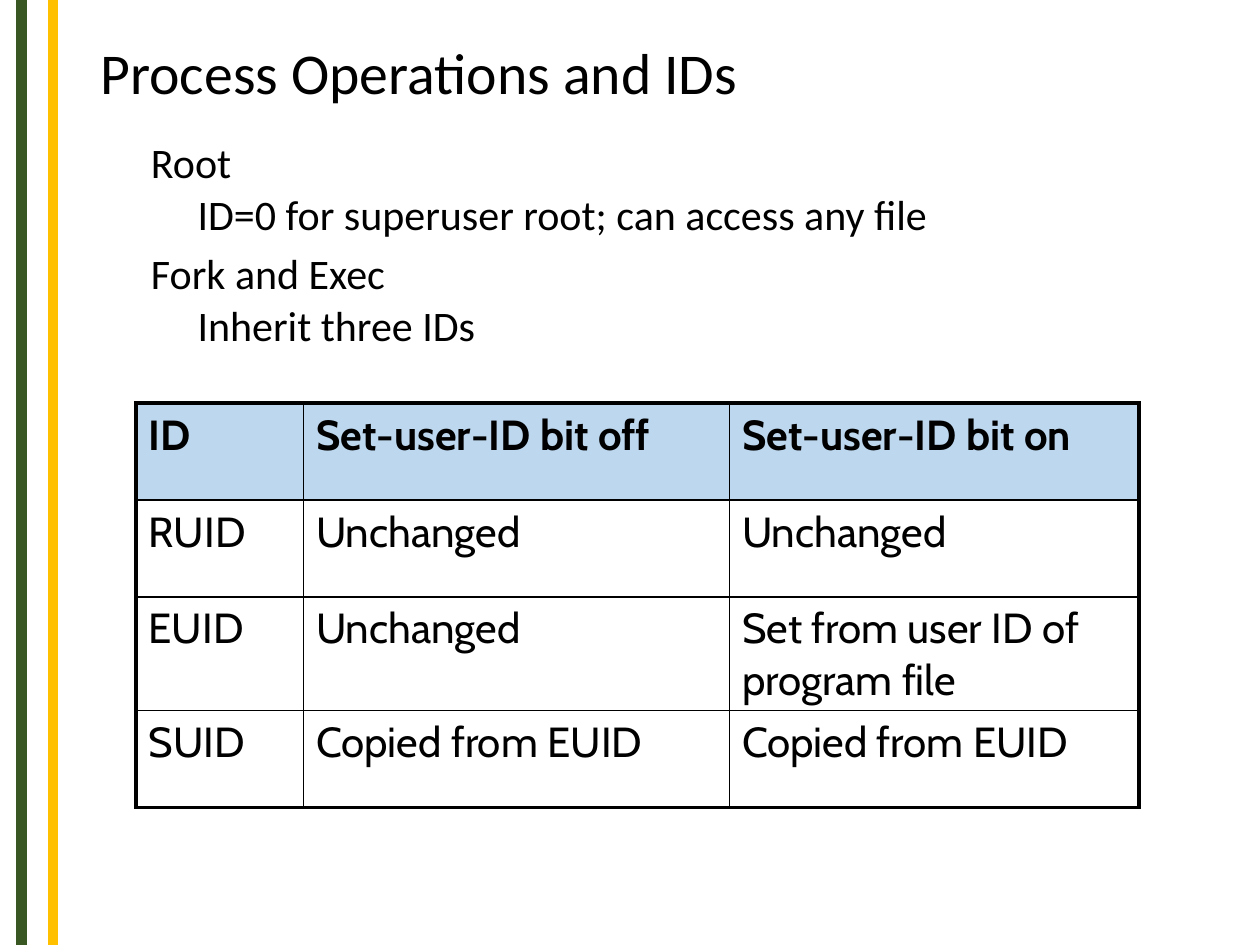
from pptx import Presentation
from pptx.dml.color import RGBColor as Rgb
from pptx.enum.shapes import MSO_CONNECTOR as Conn
from pptx.enum.text import MSO_ANCHOR as Anchor
from pptx.oxml.ns import qn
from pptx.util import Inches, Pt
from lxml.etree import SubElement as Sub, Element

INK = {"black": "000000", "green": "385723", "gold": "FFC000", "head": "BDD7EE"}
COLS, ROWS = 100, 75
THIN, THICK = 1, 2.25


def put(frame, items, font="Calibri", size=24, bold=False, color="black",
        gaps=(0,), lead=None, indent=0):
    """Write one paragraph per (level, text) item in a text frame."""
    frame.word_wrap = True
    for i, (level, text) in enumerate(items):
        para = frame.paragraphs[0] if i == 0 else frame.add_paragraph()
        para.level = level
        para.space_before = Pt(gaps[level])
        if lead:
            para.line_spacing = lead
        if level:
            props = para._p.get_or_add_pPr()
            props.set("marL", str(Inches(indent)))
            props.set("indent", "0")
        run = para.add_run()
        run.text = text
        run.font.name, run.font.size, run.font.bold = font, Pt(size), bold
        run.font.color.rgb = Rgb.from_string(INK[color])


def edge(cell, sides):
    """Draw the borders of a cell from a dict of side and width."""
    props = cell._tc.get_or_add_tcPr()
    for i, (side, width) in enumerate(sides.items()):
        line = Element(qn("a:ln" + side), w=str(Pt(width)))
        fill = Sub(line, qn("a:solidFill"))
        Sub(fill, qn("a:srgbClr"), val=INK["black"])
        props.insert(i, line)


class Deck:
    """Holds the file, the grid and the current slide."""

    def __init__(self, wide=10, high=7.5):
        """Start a file with one blank slide."""
        self.file = Presentation()
        self.file.slide_width, self.file.slide_height = Inches(wide), Inches(high)
        self.col = self.file.slide_width / COLS
        self.row = self.file.slide_height / ROWS
        self.slide = self.file.slides.add_slide(self.file.slide_layouts[6])

    def box(self, x, y, w, h):
        """Turn grid columns and rows into lengths."""
        return [round(n) for n in (x * self.col, y * self.row,
                                   w * self.col, h * self.row)]

    def stripe(self, x, color, width=6):
        """Draw a line from the top to the foot of the slide."""
        left, top, _, foot = self.box(x, 0, 0, ROWS)
        line = self.slide.shapes.add_connector(Conn.STRAIGHT, left, top, left, foot)
        line.line.color.rgb = Rgb.from_string(INK[color])
        line.line.width = Pt(width)
        Sub(line._element.spPr, qn("a:effectLst"))

    def text(self, area, items, anchor=Anchor.TOP, **form):
        """Add a text box."""
        frame = self.slide.shapes.add_textbox(*self.box(*area)).text_frame
        put(frame, items, **form)
        frame.vertical_anchor = anchor

    def table(self, area, data, wides, highs):
        """Add a table with a tinted head and a thick frame."""
        grid = self.slide.shapes.add_table(len(data), len(data[0]),
                                           *self.box(*area)).table
        for col, wide in zip(grid.columns, wides):
            col.width = round(wide * self.col)
        for row, high in zip(grid.rows, highs):
            row.height = round(high * self.row)
        last, end = len(data) - 1, len(data[0]) - 1
        for r, line in enumerate(data):
            for c, text in enumerate(line):
                cell = grid.cell(r, c)
                put(cell.text_frame, [(0, text)], font="Cabin",
                    bold=r == 0, gaps=(4.8,))
                if r == 0:
                    cell.fill.solid()
                    cell.fill.fore_color.rgb = Rgb.from_string(INK["head"])
                else:
                    cell.fill.background()
                outer = {"L": c == 0, "R": c == end, "T": r == 0, "B": r == last}
                edge(cell, {s: THICK if out else THIN for s, out in outer.items()})


deck = Deck()
for x, color in ((1.7, "green"), (4.2, "gold")):
    deck.stripe(x, color)
deck.text((7, 0, 85.1, 12.1), [(0, "Process Operations and IDs")],
          anchor=Anchor.MIDDLE, size=33, lead=0.9)
deck.text((11, 10.8, 77.4, 17.5), [
    (0, "Root"),
    (1, "ID=0 for superuser root; can access any file"),
    (0, "Fork and Exec"),
    (1, "Inherit three IDs"),
], gaps=(7.5, 3.8), lead=0.9, indent=0.37)
deck.table((10.8, 32, 79.6, 32.1), [
    ("ID", "Set-user-ID bit off", "Set-user-ID bit on"),
    ("RUID", "Unchanged", "Unchanged"),
    ("EUID", "Unchanged", "Set from user ID of program file"),
    ("SUID", "Copied from EUID", "Copied from EUID"),
], wides=(13.3, 33.8, 32.5), highs=(7.7, 7.7, 9, 7.7))
deck.file.save("out.pptx")
